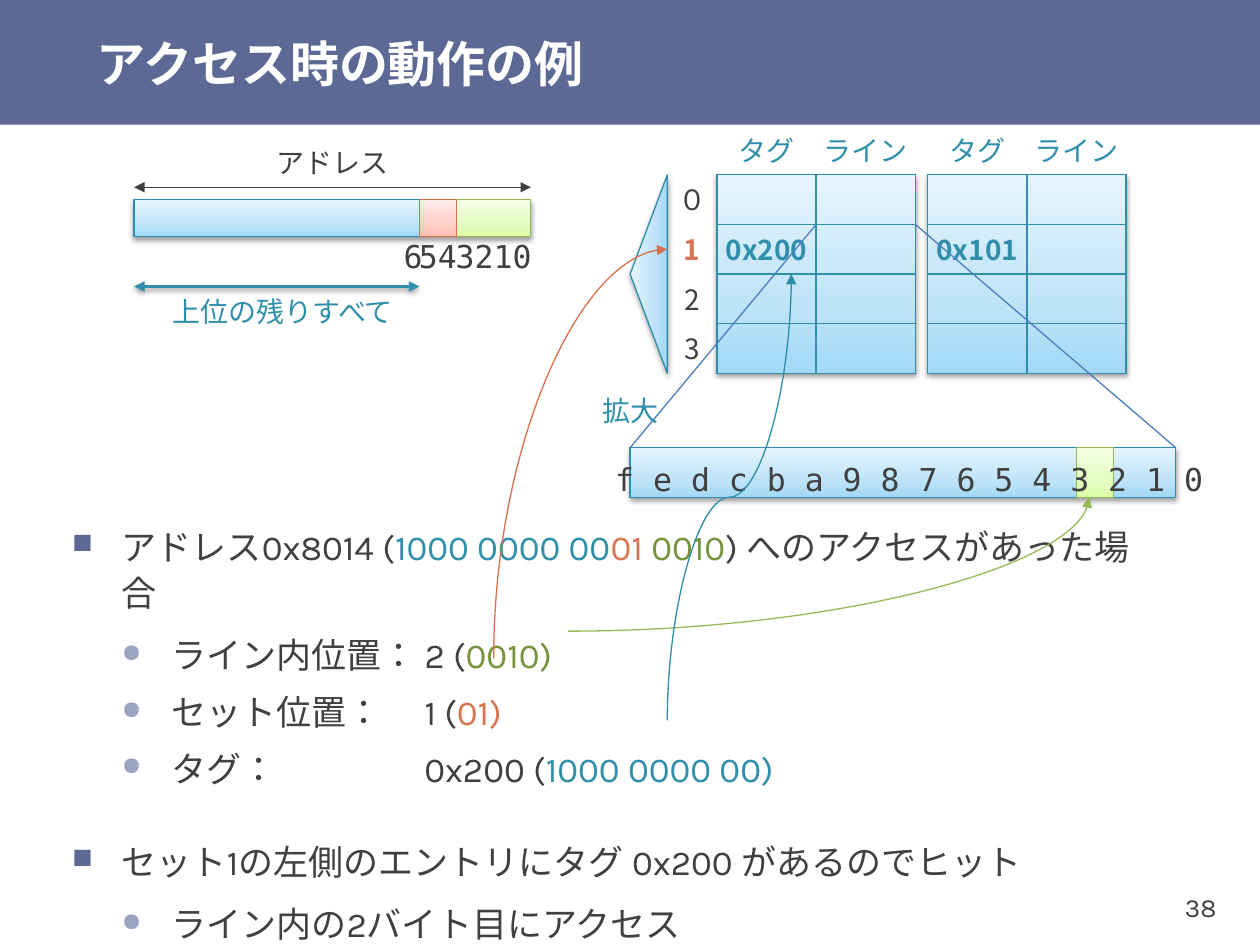
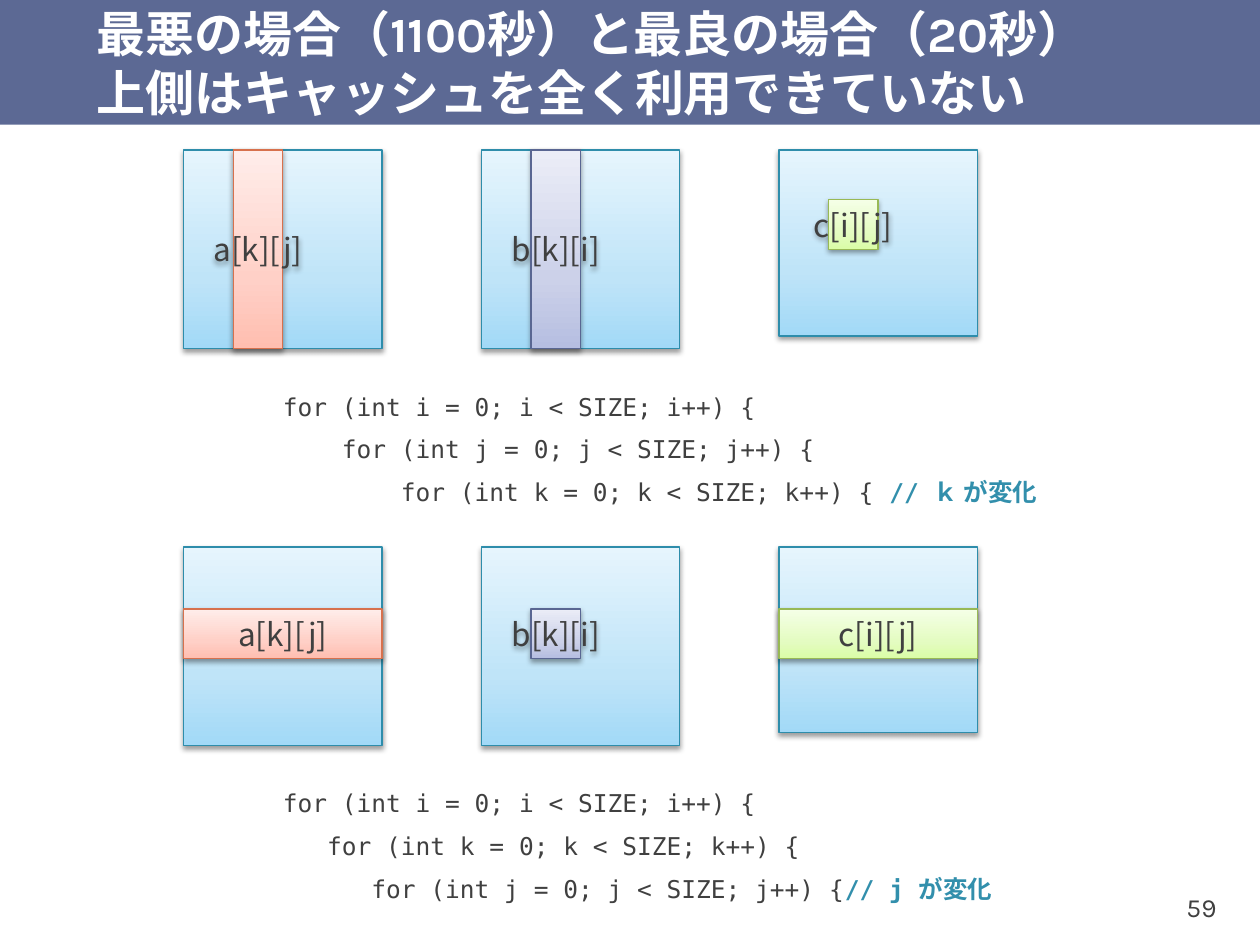
from pptx import Presentation
from pptx.dml.color import RGBColor
from pptx.enum.lang import MSO_LANGUAGE_ID as Language
from pptx.enum.shapes import MSO_CONNECTOR as Link, MSO_SHAPE as Shape
from pptx.enum.text import MSO_ANCHOR as Anchor, PP_ALIGN as Align
from pptx.oxml import parse_xml
from pptx.oxml.ns import nsdecls, qn
from pptx.oxml.xmlchemy import OxmlElement
from pptx.util import Cm, Inches, Pt

COLORS = {
    "band": "5C6994", "white": "FFFFFF", "ink": "404040", "tag": "328FAC",
    "set": "D87552", "byte": "77933C", "zoom": "4B7EBC", "dot": "9BA4C1",
    "blue line": "2E8DAB", "red line": "D7714D",
    "green line": "98B955", "purple line": "596692",
}
GRADIENTS = {
    "blue": ("A2D9F7", "BFE4F8", "E6F5FD"),
    "red": ("FFBEB0", "FFD0C7", "FFEDEA"),
    "green": ("DAFDA7", "E4FCC2", "F5FFE7"),
    "purple": ("B6BEE1", "CCD1E9", "EBEDF7"),
}
KARLA, MONO, GOTHIC = "Karla", "DejaVu Sans Mono", "Noto Sans CJK JP"
UNIT, LEFT, TOP = Cm(0.25), Inches(0.08), Inches(0.01)
BAND_ROWS = 10.1

# Slide 38: paragraphs are (level, [(text, colour), ...])
ACCESS_TITLE = "アクセス時の動作の例"
ACCESS_BODY = [
    (0, [("アドレス0x8014 (", "ink"), ("1000 0000 00", "tag"), ("01 ", "set"),
         ("0010", "byte"), (") へのアクセスがあった場合", "ink")]),
    (1, [("ライン内位置：", "ink"), (" ", "ink"), ("2 (", "ink"), ("0010)", "byte")]),
    (1, [("セット位置：", "ink"), (" ", "ink"), ("1 (", "ink"), ("01)", "set")]),
    (1, [("タグ：", "ink"), (" ", "ink"), ("0x200 (", "ink"), ("1000 0000 00)", "tag")]),
    (0, [("セット1の左側のエントリにタグ 0x200 があるのでヒット", "ink")]),
    (1, [("ライン内の2バイト目にアクセス", "ink")]),
]
LABEL_LENGTH = 7
BODY_SIZE = 20
BULLETS = [("■", "band", 80), ("●", "dot", 72)]
SET_NUMBERS = ["０", "1", "2", "3"]
HIT_SET = 1
WAYS = [(57, "0x200"), (74, "0x101")]
WAY_HEADS = ["タグ", "ライン"]
CELL_W, CELL_H, WAY_TOP = 8, 4, 14
# text, cell (column, row, width, height), colour, size, font
ACCESS_LABELS = [
    ("アドレス", (22, 11, 8, 4), "ink", 16, GOTHIC),
    ("上位の残りすべて", (18, 23, 8, 4), "tag", 16, GOTHIC),
    ("3210", (36, 19, 6, 3), "ink", 18, MONO),
    ("54", (33, 19, 3, 3), "ink", 18, MONO),
    ("6", (31, 19, 3, 3), "ink", 18, MONO),
    ("拡大", (46, 31, 8, 4), "tag", 16, GOTHIC),
    ("f e d c b a 9 8 7 6 5 4 3 2 1 0", (56, 37, 33, 3), "ink", 18, MONO),
]

# Slide 59: each case has a row, its highlighted parts and its loops
LOOP_TITLE = "最悪の場合（1100秒）と最良の場合（20秒）\v上側はキャッシュを全く利用できていない"
MATRICES = [(14, 16), (38, 16), (62, 15)]  # column, height
ACCESSES = [("a[k][j]", "red"), ("b[k][i]", "purple"), ("c[i][j]", "green")]
CASES = [
    (12, [(18, 12, 4, 16), (42, 12, 4, 16), (66, 16, 4, 4)],
     ["for (int i = 0; i < SIZE; i++) {",
      "    for (int j = 0; j < SIZE; j++) {",
      "        for (int k = 0; k < SIZE; k++) { "], "// ｋ が変化"),
    (44, [(14, 49, 16, 4), (42, 49, 4, 4), (62, 49, 16, 4)],
     ["for (int i = 0; i < SIZE; i++) {",
      "   for (int k = 0; k < SIZE; k++) {",
      "      for (int j = 0; j < SIZE; j++) {"], "// j が変化"),
]


def rgb(name):
    return RGBColor.from_string(COLORS[name])


def point(col, row):
    return round(LEFT + col * UNIT), round(TOP + row * UNIT)


def place(cell):
    """Turn a grid cell (column, row, width, height) into slide lengths."""
    return (*point(*cell[:2]), round(cell[2] * UNIT), round(cell[3] * UNIT))


def style(span, size, color, font, bold=False):
    span.font.size, span.font.name, span.font.bold = Pt(size), font, bold
    span.font.color.rgb = rgb(color)
    span.font.language_id = Language.JAPANESE
    east_asian = OxmlElement("a:ea")
    east_asian.set("typeface", GOTHIC)
    span.font._element.find(qn("a:latin")).addnext(east_asian)


def write(box, text, size, color, font, bold=False, align=Align.CENTER, wrap=False):
    frame = box.text_frame
    frame.word_wrap, frame.vertical_anchor = wrap, Anchor.MIDDLE
    para = frame.paragraphs[0]
    para.text, para.alignment = text, align
    for span in para.runs:
        style(span, size, color, font, bold)


def label(slide, cell, *text_style, **options):
    """Write on a bare rectangle, whose text may run past both sides unbroken."""
    box = slide.shapes.add_shape(Shape.RECTANGLE, *place(cell))
    box.shadow.inherit = False
    box.fill.background()
    box.line.fill.background()
    write(box, *text_style, **options)
    return box


def add_shadow(properties):
    effects = properties.find(qn("a:effectLst"))
    effects.append(parse_xml(
        f'<a:outerShdw {nsdecls("a")} blurRad="{Pt(3.1)}" dist="{Pt(1.6)}" dir="5400000" '
        'rotWithShape="0"><a:srgbClr val="000000"><a:alpha val="38000"/></a:srgbClr></a:outerShdw>'))


def add_block(slide, cell, gradient=None, line="tag", shadow=False, kind=Shape.RECTANGLE):
    block = slide.shapes.add_shape(kind, *place(cell))
    block.shadow.inherit = False
    block.fill.background()
    properties = block._element.spPr
    if gradient:
        line = gradient + " line"
        stops = "".join(f'<a:gs pos="{at}"><a:srgbClr val="{value}"/></a:gs>'
                        for at, value in zip((0, 35000, 100000), GRADIENTS[gradient]))
        old = properties.find(qn("a:noFill"))
        properties.replace(old, parse_xml(
            f'<a:gradFill {nsdecls("a")} rotWithShape="1"><a:gsLst>{stops}</a:gsLst>'
            '<a:lin ang="16200000" scaled="0"/></a:gradFill>'))
    block.line.color.rgb, block.line.width = rgb(line), Pt(0.75)
    if shadow:
        add_shadow(properties)
    return block


def finish_line(link, color, width=0.75, heads=()):
    link.line.color.rgb, link.line.width = rgb(color), Pt(width)
    for head in heads:
        arrow = OxmlElement("a:" + head)
        arrow.set("type", "triangle")
        link.line._get_or_add_ln().append(arrow)
    link._element.spPr.append(OxmlElement("a:effectLst"))


def add_line(slide, start, end, *looks):
    link = slide.shapes.add_connector(Link.STRAIGHT, *point(*start), *point(*end))
    finish_line(link, *looks)
    return link


def add_curve(slide, start, end, color, preset, rises_first):
    """Draw a curved arrow up and right; rises_first makes it leave vertically."""
    width, height = end[0] - start[0], start[1] - end[1]
    middle = (start[0] + end[0]) / 2, (start[1] + end[1]) / 2
    if rises_first:
        width, height = height, width
    corner = middle[0] - width / 2, middle[1] - height / 2
    opposite = corner[0] + width, corner[1] + height
    link = slide.shapes.add_connector(Link.CURVE, *point(*corner), *point(*opposite))
    properties = link._element.spPr
    properties.find(qn("a:prstGeom")).set("prst", preset)
    frame = properties.find(qn("a:xfrm"))
    frame.set("flipV", "1")
    if rises_first:
        frame.set("rot", "5400000")
        frame.set("flipH", "1")
    finish_line(link, color, 0.75, ["tailEnd"])


def add_page(deck, title, number):
    slide = deck.slides.add_slide(deck.slide_layouts[6])
    band = slide.shapes.add_shape(Shape.RECTANGLE, 0, 0, deck.slide_width, Inches(0.99))
    band.shadow.inherit = False
    band.fill.solid()
    band.fill.fore_color.rgb = rgb("band")
    band.line.fill.background()
    page = label(slide, (90, 70, 8, 6), number, 15, "ink", KARLA, align=Align.RIGHT)
    page.text_frame.margin_left = page.text_frame.margin_right = Inches(0.07)
    heading = label(slide, (6, -0.1, 94.75, BAND_ROWS), title, 28, "white", KARLA,
                    bold=True, align=Align.LEFT, wrap=True)
    heading.text_frame.margin_top = heading.text_frame.margin_bottom = 0
    return slide


def add_paragraphs(slide, cell, paragraphs, size, font, bulleted):
    frame = slide.shapes.add_textbox(*place(cell)).text_frame
    frame.word_wrap, frame.vertical_anchor = True, Anchor.MIDDLE
    for index, (level, spans) in enumerate(paragraphs):
        para = frame.add_paragraph() if index else frame.paragraphs[0]
        properties = para._p.get_or_add_pPr()
        properties.set("marL", str(Cm(level + bulleted)))
        properties.set("indent", str(-Cm(1) if bulleted else 0))
        if bulleted:
            mark, color, percent = BULLETS[level]
            for xml in (f'<a:buClr {nsdecls("a")}><a:srgbClr val="{COLORS[color]}"/></a:buClr>',
                        f'<a:buSzPct {nsdecls("a")} val="{percent * 1000}"/>',
                        f'<a:buChar {nsdecls("a")} char="{mark}"/>'):
                properties.append(parse_xml(xml))
        para.level, para.line_spacing = level, 1.1
        para.space_before = Pt((3 if level else 24) if index else 0)
        para.space_after = Pt(3 if level else 6)
        for text, color in spans:
            span = para.add_run()
            span.text = text
            style(span, size, color, font, font == MONO and color == "tag")
            if text == " ":  # widen the gap so that the values line up
                missing = LABEL_LENGTH - len(spans[0][0])
                span.font._element.set("spc", str(missing * BODY_SIZE * 100))


def draw_way(slide, col, tag):
    add_block(slide, (col, WAY_TOP, 2 * CELL_W, 4 * CELL_H), "blue", shadow=True)
    for side, head in enumerate(WAY_HEADS):
        left = col + side * CELL_W
        label(slide, (left, WAY_TOP - CELL_H, CELL_W, CELL_H), head, 16, "tag", GOTHIC)
        for row in range(len(SET_NUMBERS)):
            cell = add_block(slide, (left, WAY_TOP + row * CELL_H, CELL_W, CELL_H))
            if side == 0 and row == HIT_SET:
                write(cell, tag, 16, "tag", GOTHIC, bold=True)


def build_access(deck):
    slide = add_page(deck, ACCESS_TITLE, "38")
    add_block(slide, (50, 36, 44, 4), "blue", shadow=True)
    add_paragraphs(slide, (4, 51, 90, 16), ACCESS_BODY, BODY_SIZE, KARLA, bulleted=True)
    for col, tag in WAYS:
        draw_way(slide, col, tag)
    for row, number in enumerate(SET_NUMBERS):
        hit = row == HIT_SET
        label(slide, (53, WAY_TOP + row * CELL_H, 4, CELL_H), number, 16,
              "set" if hit else "ink", GOTHIC, bold=hit)
    decoder = add_block(slide, (43.5, 20.5, 16, 3), "blue", shadow=True,
                        kind=Shape.ISOSCELES_TRIANGLE)
    decoder.rotation = 270

    add_block(slide, (10, 16, 32, 3), "blue", shadow=True)
    add_block(slide, (36, 16, 6, 3), "green")
    add_block(slide, (33, 16, 3, 3), "red")
    both = ["headEnd", "tailEnd"]
    add_line(slide, (10, 15), (42, 15), "ink", 0.75, both)
    upper_bits = add_line(slide, (10, 23), (33, 23), "tag", 2, both)
    add_shadow(upper_bits._element.spPr)

    add_line(slide, (65, 18), (50, 36), "zoom")
    add_line(slide, (73, 18), (94, 36), "zoom")
    add_block(slide, (86, 36, 3, 4), "green")
    for text, cell, color, size, font in ACCESS_LABELS:
        label(slide, cell, text, size, color, font)
    add_curve(slide, (45, 50.8), (87, 40), "green line", "curvedConnector2", False)
    add_curve(slide, (39, 53), (53, 20), "red line", "curvedConnector2", True)
    add_curve(slide, (53, 58), (63, 22), "blue line", "curvedConnector3", True)


def build_loops(deck):
    slide = add_page(deck, LOOP_TITLE, "59")
    for row, parts, loops, comment in CASES:
        for col, height in MATRICES:
            add_block(slide, (col, row, 16, height), "blue", shadow=True)
        for cell, (text, gradient) in zip(parts, ACCESSES):
            part = add_block(slide, cell, gradient, shadow=True)
            write(part, text, 18, "ink", GOTHIC)
        code = [(1, [(loop, "ink")]) for loop in loops]
        code[-1][1].append((comment, "tag"))
        add_paragraphs(slide, (17, row + 18, 68, 12), code, 14, MONO, bulleted=False)


def main():
    deck = Presentation()
    deck.slide_width, deck.slide_height = Inches(10), Inches(7.5)
    build_access(deck)
    build_loops(deck)
    deck.save("out.pptx")


if __name__ == "__main__":
    main()
